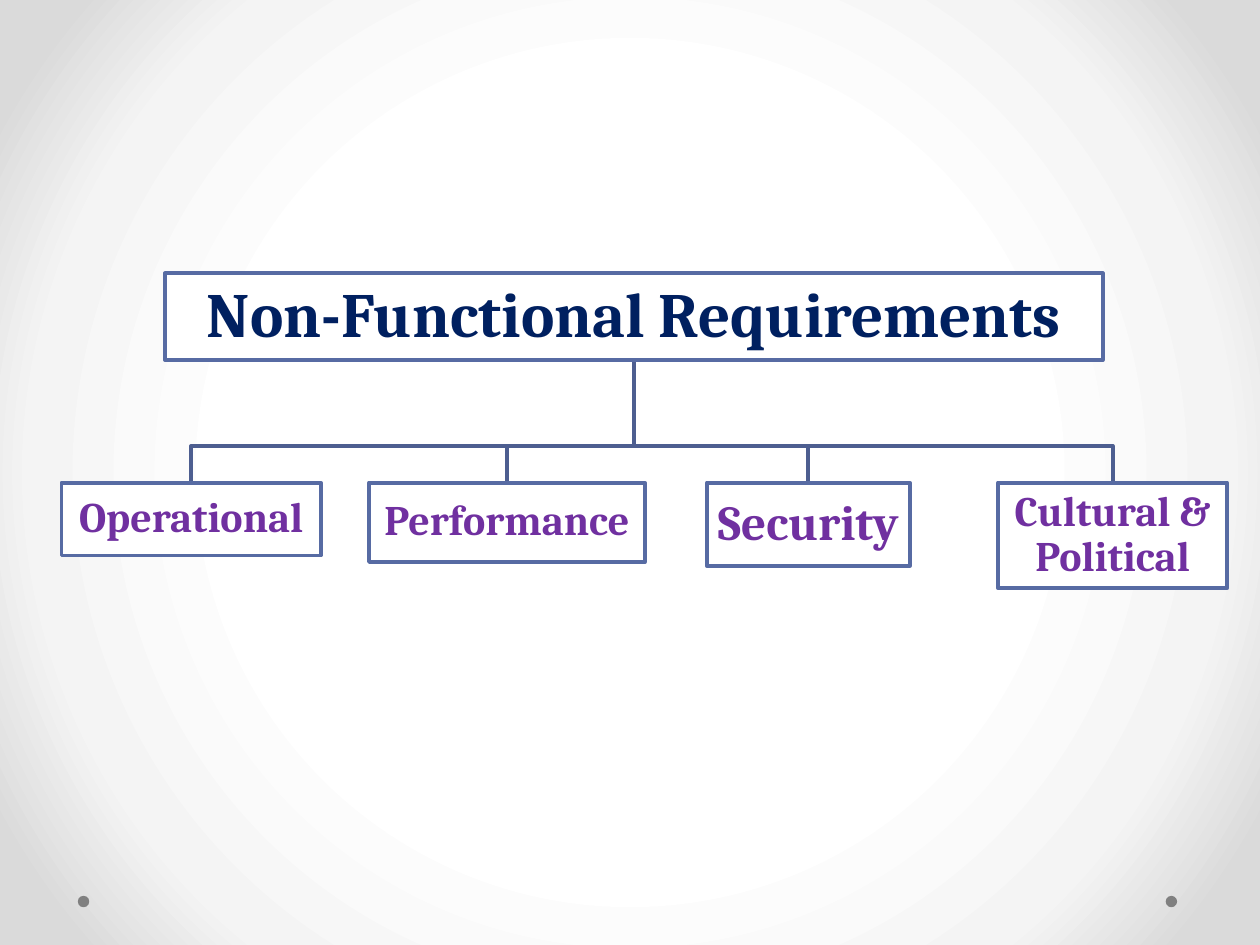
"""Build a slide with a tree of non-functional requirements."""
import pptx
import pptx.dml.color
import pptx.enum.shapes
import pptx.enum.text
import pptx.oxml
import pptx.oxml.ns
import pptx.util

Cm = pptx.util.Cm
Pt = pptx.util.Pt
RGBColor = pptx.dml.color.RGBColor
SHAPES = pptx.enum.shapes.MSO_SHAPE

WHITE = RGBColor(0xFF, 0xFF, 0xFF)
GREY = RGBColor(0x80, 0x80, 0x80)
NAVY = RGBColor(0x00, 0x20, 0x60)
PURPLE = RGBColor(0x70, 0x30, 0xA0)
BORDER = RGBColor(0x57, 0x6B, 0xA3)
BRANCH = RGBColor(0x4D, 0x5E, 0x90)

GLOW_STOPS = [(50, WHITE), (76, RGBColor(0xF4, 0xF4, 0xF4)), (92, RGBColor(0xDA, 0xDA, 0xDA))]

ROOT_LEFT, ROOT_TOP, ROOT_WIDTH, ROOT_HEIGHT = 3.33, 5.51, 18.9, 1.75
RAIL_TOP, CATEGORY_TOP = 8.99, 9.73
CATEGORIES = [
    ("Operational", 1.24, 5.23, 1.47, 24),
    ("Performance", 7.44, 5.56, 1.6, 24),
    ("Security", 14.25, 4.09, 1.68, 28),
    ("Cultural & Political", 20.12, 4.62, 2.13, 24),
]


def add_box(slide, label, left, top, width, height, size, color, inset):
    box = slide.shapes.add_shape(SHAPES.RECTANGLE, Cm(left), Cm(top), Cm(width), Cm(height))
    box.shadow.inherit = False
    box.fill.solid()
    box.fill.fore_color.rgb = WHITE
    box.line.color.rgb = BORDER
    box.line.width = Pt(2.25)
    frame = box.text_frame
    frame_format = {
        "word_wrap": True,
        "vertical_anchor": pptx.enum.text.MSO_ANCHOR.MIDDLE,
        **{f"margin_{side}": Cm(inset) for side in ("left", "top", "right", "bottom")},
    }
    for key, value in frame_format.items():
        setattr(frame, key, value)
    paragraph = frame.paragraphs[0]
    paragraph.alignment = pptx.enum.text.PP_ALIGN.CENTER
    paragraph.line_spacing = 0.9
    run = paragraph.add_run()
    run.text = label
    for key, value in {"name": "Cambria", "size": Pt(size), "bold": True}.items():
        setattr(run.font, key, value)
    run.font.color.rgb = color


presentation = pptx.Presentation()
presentation.slide_width, presentation.slide_height = Cm(25.4), Cm(19.05)
slide = presentation.slides.add_slide(presentation.slide_layouts[6])

slide.background.fill.solid()
backdrop = slide.element.find(".//" + pptx.oxml.ns.qn("p:bgPr"))
stops = "".join(
    f'<a:gs pos="{percent * 1000}"><a:srgbClr val="{color}"/></a:gs>' for percent, color in GLOW_STOPS
)
backdrop[0] = pptx.oxml.parse_xml(
    f'<a:gradFill {pptx.oxml.ns.nsdecls("a")} rotWithShape="1"><a:gsLst>{stops}</a:gsLst>'
    '<a:path path="circle"><a:fillToRect l="50000" t="50000" r="50000" b="50000"/></a:path>'
    "</a:gradFill>"
)

for dot_left in (23.5, 1.57):
    dot = slide.shapes.add_shape(SHAPES.OVAL, Cm(dot_left), Cm(18.06), Cm(0.23), Cm(0.23))
    dot.shadow.inherit = False
    dot.fill.solid()
    dot.fill.fore_color.rgb = GREY
    dot.line.fill.background()

root_center = ROOT_LEFT + ROOT_WIDTH / 2
for label, left, width, height, size in reversed(CATEGORIES):
    center = left + width / 2
    builder = slide.shapes.build_freeform(Cm(root_center), Cm(ROOT_TOP + ROOT_HEIGHT))
    turns = [(root_center, RAIL_TOP), (center, RAIL_TOP), (center, CATEGORY_TOP)]
    builder.add_line_segments([(Cm(x), Cm(y)) for x, y in turns], close=False)
    branch = builder.convert_to_shape()
    branch.shadow.inherit = False
    branch.fill.background()
    branch.line.color.rgb = BRANCH
    branch.line.width = Pt(2.25)

add_box(slide, "Non-Functional Requirements", ROOT_LEFT, ROOT_TOP, ROOT_WIDTH, ROOT_HEIGHT, 36, NAVY, 0.08)
for label, left, width, height, size in CATEGORIES:
    add_box(slide, label, left, CATEGORY_TOP, width, height, size, PURPLE, 0.05)

presentation.save("out.pptx")
